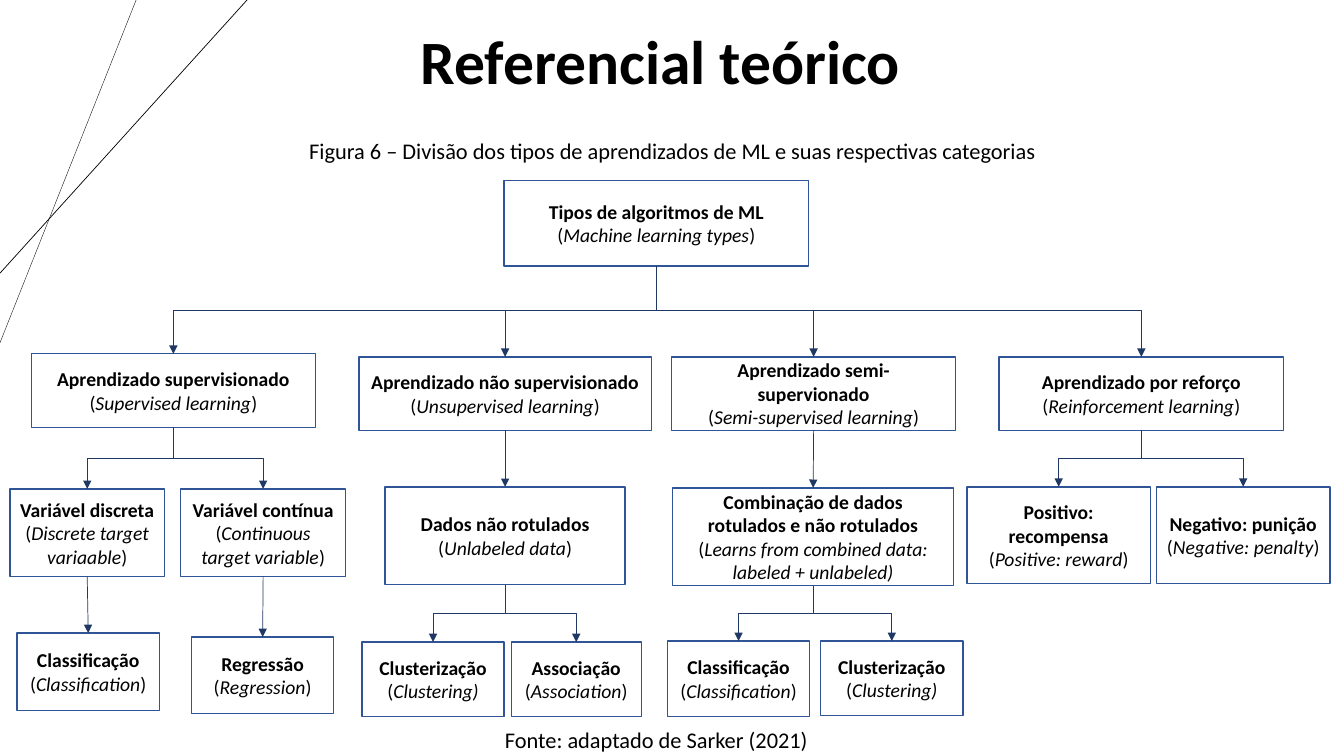
from collections import namedtuple
from dataclasses import dataclass

from lxml.etree import SubElement
from pptx import Presentation
from pptx.dml.color import RGBColor
from pptx.enum.shapes import MSO_CONNECTOR as Link, MSO_SHAPE as Shape
from pptx.enum.text import MSO_ANCHOR as Anchor, MSO_AUTO_SIZE as AutoSize, PP_ALIGN as Align
from pptx.oxml.ns import qn
from pptx.util import Inches, Pt


@dataclass(frozen=True)
class Theme:
    font: str = "Calibri"
    ink: RGBColor = RGBColor(0, 0, 0)
    paper: RGBColor = RGBColor(255, 255, 255)
    border: RGBColor = RGBColor(0x2F, 0x55, 0x97)
    arrow: RGBColor = RGBColor(0x20, 0x38, 0x64)
    title_size: int = 44
    caption_size: int = 16
    box_size: int = 14
    border_width: float = 1
    arrow_width: float = 0.5


Topic = namedtuple("Topic", "at name gloss branches", defaults=[()])

LEARNING_TYPES = Topic(
    (5, 1.79, 3.02, 0.85), "Tipos de algoritmos de ML", "Machine learning types", (
        Topic((0.31, 3.51, 2.82, 0.73), "Aprendizado supervisionado", "Supervised learning", (
            Topic((0.1, 4.85, 1.53, 0.87), "Variável discreta", "Discrete target variaable", (
                Topic((0.17, 6.28, 1.41, 0.77), "Classificação", "Classification"),)),
            Topic((1.79, 4.85, 1.64, 0.87), "Variável contínua", "Continuous target variable", (
                Topic((1.9, 6.32, 1.41, 0.76), "Regressão", "Regression"),)))),
        Topic((3.56, 3.54, 2.9, 0.73), "Aprendizado não supervisionado", "Unsupervised learning", (
            Topic((3.82, 4.83, 2.38, 0.97), "Dados não rotulados", "Unlabeled data", (
                Topic((3.59, 6.37, 1.41, 0.74), "Clusterização", "Clustering)"),
                Topic((5.07, 6.37, 1.29, 0.74), "Associação", "Association"))),)),
        Topic((6.66, 3.54, 2.82, 0.73), "Aprendizado semi-supervionado", "Semi-supervised learning", (
            Topic((6.67, 4.84, 2.79, 0.97), "Combinação de dados rotulados e não rotulados",
                  "Learns from combined data: labeled + unlabeled)", (
                Topic((6.62, 6.36, 1.41, 0.75), "Classificação", "Classification"),
                Topic((8.14, 6.36, 1.41, 0.74), "Clusterização", "Clustering)"))),)),
        Topic((9.91, 3.54, 2.82, 0.73), "Aprendizado por reforço", "Reinforcement learning", (
            Topic((9.59, 4.83, 1.82, 0.96), "Positivo: recompensa", "Positive: reward"),
            Topic((11.47, 4.83, 1.72, 0.96), "Negativo: punição", "Negative: penalty")))))


def apply(target, formats):
    for attribute, value in formats.items():
        setattr(target, attribute, value)


class TreeSlide:
    def __init__(self, slide, theme):
        self.shapes = slide.shapes
        self.theme = theme

    def add_runs(self, paragraph, runs, size):
        paragraph.alignment = Align.CENTER
        for words, emphasis in runs:
            run = paragraph.add_run()
            run.text = words
            run.font.color.rgb = self.theme.ink
            apply(run.font, {"name": self.theme.font, "size": Pt(size), **emphasis})

    def label(self, at, words, size, bold=False):
        frame = self.shapes.add_textbox(*map(Inches, at)).text_frame
        apply(frame, {"word_wrap": True, "auto_size": AutoSize.SHAPE_TO_FIT_TEXT})
        self.add_runs(frame.paragraphs[0], [(words, {"bold": bold})], size)

    def line(self, kind, start, end, color, width):
        connector = self.shapes.add_connector(kind, *map(Inches, (*start, *end)))
        connector.line.color.rgb = color
        connector.line.width = Pt(width)
        SubElement(connector.element.spPr, qn("a:effectLst"))
        return connector

    def box(self, topic):
        box = self.shapes.add_shape(Shape.RECTANGLE, *map(Inches, topic.at))
        box.shadow.inherit = False
        box.fill.solid()
        box.fill.fore_color.rgb = self.theme.paper
        box.line.color.rgb = self.theme.border
        box.line.width = Pt(self.theme.border_width)
        frame = box.text_frame
        apply(frame, {"word_wrap": True, "vertical_anchor": Anchor.MIDDLE})
        size = self.theme.box_size
        self.add_runs(frame.paragraphs[0], [(topic.name, {"bold": True})], size)
        gloss = [("(", {}), (topic.gloss, {"italic": True})]
        if not topic.gloss.endswith(")"):
            gloss.append((")", {}))
        self.add_runs(frame.add_paragraph(), gloss, size)

    def arrow(self, start, end, bend=None):
        (x1, y1), (x2, y2) = start, end
        style = self.theme.arrow, self.theme.arrow_width
        if bend is None:
            arrow = self.line(Link.STRAIGHT, start, end, *style)
        else:
            drop, reach = y2 - y1, abs(x2 - x1)
            x, y = (x1 + x2) / 2, (y1 + y2) / 2
            arrow = self.line(Link.ELBOW, (x - drop / 2, y - reach / 2),
                              (x + drop / 2, y + reach / 2), *style)
            properties = arrow.element.spPr
            frame = properties.find(qn("a:xfrm"))
            frame.set("rot", "5400000" if x2 < x1 else "16200000")
            if x2 > x1:
                frame.set("flipH", "1")
            guides = properties.find(qn("a:prstGeom")).find(qn("a:avLst"))
            SubElement(guides, qn("a:gd"), name="adj1", fmla=f"val {round(bend / drop * 100000)}")
        outline = arrow.element.spPr.find(qn("a:ln"))
        SubElement(outline, qn("a:tailEnd"), type="triangle")

    def tree(self, topic):
        self.box(topic)
        left, top, width, height = topic.at
        start = left + width / 2, top + height
        for branch in topic.branches:
            self.tree(branch)
            branch_left, branch_top, branch_width, _ = branch.at
            bend = None
            if len(topic.branches) > 1:
                bend = (topic.branches[0].at[1] - start[1]) / 2
            self.arrow(start, (branch_left + branch_width / 2, branch_top), bend)


def main():
    deck = Presentation()
    apply(deck, {"slide_width": Inches(13.33), "slide_height": Inches(7.5)})
    theme = Theme()
    page = TreeSlide(deck.slides.add_slide(deck.slide_layouts[6]), theme)
    page.line(Link.STRAIGHT, (1.35, 0), (0, 3.4), theme.ink, 0.25)
    page.line(Link.STRAIGHT, (2.45, 0), (0, 2.71), theme.ink, 0.5)
    page.label((2.79, 0.18, 7.52, 0.84), "Referencial teórico", theme.title_size, bold=True)
    page.label((1.9, 1.31, 9.54, 0.37),
               "Figura 6 – Divisão dos tipos de aprendizados de ML e suas respectivas categorias",
               theme.caption_size)
    page.tree(LEARNING_TYPES)
    page.label((2.75, 7.15, 7.52, 0.37), "Fonte: adaptado de Sarker (2021)", theme.caption_size)
    deck.save("out.pptx")


if __name__ == "__main__":
    main()
